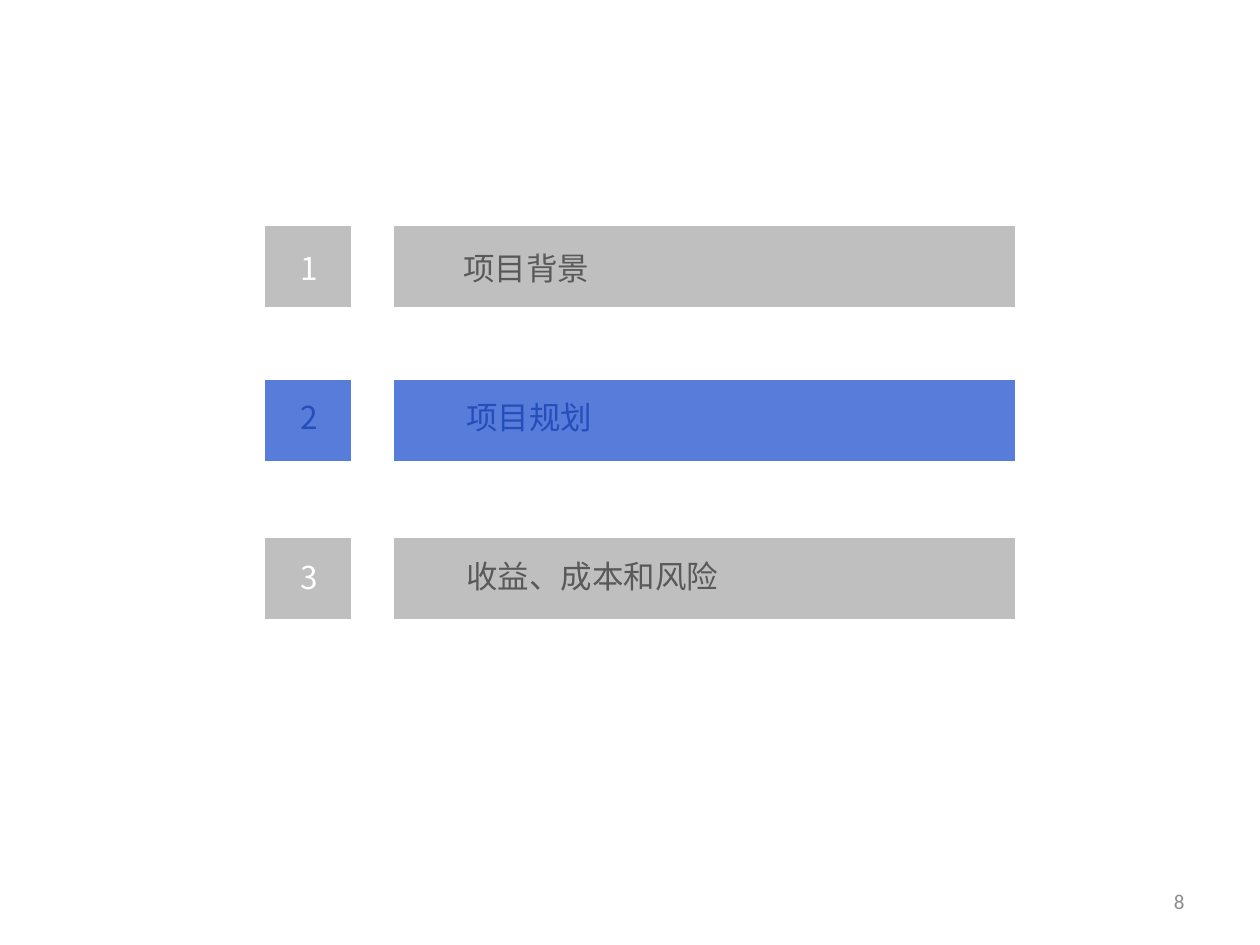
from lxml.etree import SubElement
from pptx import Presentation
from pptx.dml.color import RGBColor
from pptx.enum.shapes import MSO_SHAPE as Shape
from pptx.enum.text import MSO_ANCHOR as Anchor, MSO_AUTO_SIZE as AutoSize, PP_ALIGN as Align
from pptx.oxml.ns import qn
from pptx.util import Inches, Pt

WHITE = RGBColor(0xFF, 0xFF, 0xFF)
SILVER = RGBColor(0xBF, 0xBF, 0xBF)
CHARCOAL = RGBColor(0x59, 0x59, 0x59)
BLUE = RGBColor(0x57, 0x7C, 0xDA)
NAVY = RGBColor(0x26, 0x4E, 0xBB)
GRAY = RGBColor(0x8C, 0x8C, 0x8C)

CJK_FONT = "Noto Sans CJK SC"
NUMBER_FONT = "Calibri"

BAR_LEFT, BAR_WIDTH = 3.11, 4.96
TILE_LEFT, TILE_WIDTH = 2.09, 0.71
ROW_HEIGHT = 0.67
NUMBER_LEFT, NUMBER_WIDTH = 2.29, 0.35
TEXT_HEIGHT = 0.4

IDLE = {"fill": SILVER, "number": WHITE, "title": CHARCOAL}
ACTIVE = {"fill": BLUE, "number": NAVY, "title": NAVY}

SECTIONS = [
    {"title": "项目背景", "top": 1.78, "left": 3.58, "width": 1.21,
     "title_top": 1.93, "number_top": 1.93, "look": IDLE},
    {"title": "项目规划", "top": 3, "left": 3.6, "width": 1.21,
     "title_top": 3.11, "number_top": 3.11, "look": ACTIVE},
    {"title": "收益、成本和风险", "top": 4.26, "left": 3.6, "width": 2.22,
     "title_top": 4.37, "number_top": 4.38, "look": IDLE},
]


def set_attributes(target, values):
    for name, value in values.items():
        setattr(target, name, value)


def add_block(page, left, top, width, color):
    block = page.shapes.add_shape(
        Shape.RECTANGLE, Inches(left), Inches(top), Inches(width), Inches(ROW_HEIGHT))
    block.shadow.inherit = False
    block.fill.solid()
    block.fill.fore_color.rgb = color
    block.line.color.rgb = WHITE
    block.line.width = Pt(2)


def add_text(page, text, left, top, width, color, font, size, frame_format, align=Align.LEFT):
    box = page.shapes.add_textbox(
        Inches(left), Inches(top), Inches(width), Inches(TEXT_HEIGHT))
    set_attributes(box.text_frame, frame_format)
    para = box.text_frame.paragraphs[0]
    para.alignment = align
    span = para.add_run()
    span.text = text
    set_attributes(span.font, {"name": font, "size": Pt(size)})
    span.font.color.rgb = color
    SubElement(span.font._element, qn("a:ea"), typeface=font)


def add_section(page, number, section):
    look = section["look"]
    label = {"font": CJK_FONT, "size": 18,
             "frame_format": {"word_wrap": False, "auto_size": AutoSize.SHAPE_TO_FIT_TEXT}}
    add_block(page, BAR_LEFT, section["top"], BAR_WIDTH, look["fill"])
    add_text(page, section["title"], section["left"], section["title_top"],
             section["width"], look["title"], **label)
    add_block(page, TILE_LEFT, section["top"], TILE_WIDTH, look["fill"])
    add_text(page, str(number), NUMBER_LEFT, section["number_top"],
             NUMBER_WIDTH, look["number"], **label)


def add_page_number(page, number):
    frame_format = {"word_wrap": True, "vertical_anchor": Anchor.MIDDLE}
    add_text(page, str(number), 7.17, 6.95, 2.33, GRAY, NUMBER_FONT, 12,
             frame_format, Align.RIGHT)


def main():
    deck = Presentation()
    set_attributes(deck, {"slide_width": Inches(10), "slide_height": Inches(7.5)})
    page = deck.slides.add_slide(deck.slide_layouts[6])
    for number, section in enumerate(SECTIONS, start=1):
        add_section(page, number, section)
    add_page_number(page, 8)
    deck.save("out.pptx")


if __name__ == "__main__":
    main()
